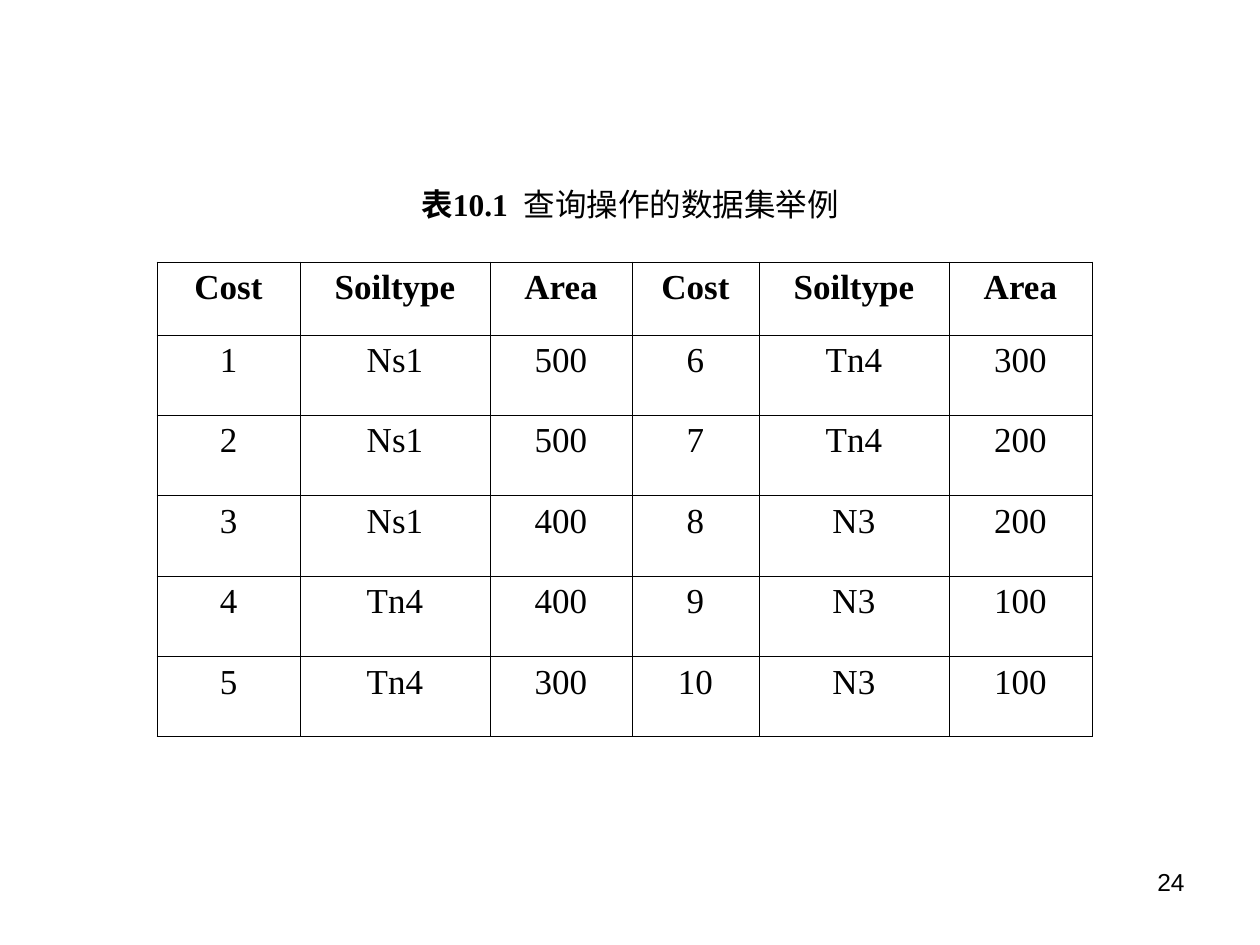
from dataclasses import dataclass

from lxml.etree import fromstring
from pptx import Presentation
from pptx.dml.color import RGBColor
from pptx.enum.text import MSO_ANCHOR, MSO_AUTO_SIZE, PP_ALIGN
from pptx.oxml.ns import nsdecls
from pptx.util import Emu, Pt


@dataclass(frozen=True)
class Theme:
    ink: RGBColor = RGBColor(0, 0, 0)
    serif: str = "Times New Roman"
    sans: str = "Arial"
    caption_size: int = 18
    cell_size: int = 20
    number_size: int = 14
    border: float = 0.45


THEME = Theme()
EMU_PER_PX = 914400 / 126

COLUMN_WIDTHS = (143, 190, 142, 127, 190, 143)
HEADER_HEIGHT = 73
HEADINGS = ("Cost", "Soiltype", "Area")
RECORDS = (
    (1, "Ns1", 500), (2, "Ns1", 500), (3, "Ns1", 400), (4, "Tn4", 400), (5, "Tn4", 300),
    (6, "Tn4", 300), (7, "Tn4", 200), (8, "N3", 200), (9, "N3", 100), (10, "N3", 100),
)


def px(length):
    return Emu(round(length * EMU_PER_PX))


def style(paragraph, family, size, align, bold=None):
    paragraph.alignment = align
    font = paragraph.font
    font.name, font.size, font.bold = family, Pt(size), bold
    font.color.rgb = THEME.ink


def add_caption(slide, box):
    caption = slide.shapes.title
    caption.left, caption.top, caption.width, caption.height = map(px, box)
    frame = caption.text_frame
    frame.word_wrap = True
    frame.auto_size = MSO_AUTO_SIZE.NONE
    frame.vertical_anchor = MSO_ANCHOR.TOP
    paragraph = frame.paragraphs[0]
    style(paragraph, THEME.serif, THEME.caption_size, PP_ALIGN.CENTER)
    for text, bold, tracking in (("表10.1", True, 0), (" ", True, 450), ("查询操作的数据集举例", False, 0)):
        run = paragraph.add_run()
        run.text = text
        run.font.bold = bold
        if tracking:
            run._r.get_or_add_rPr().set("spc", str(tracking))


def outline(cell):
    properties = cell._tc.get_or_add_tcPr()
    for position, side in enumerate(("lnL", "lnR", "lnT", "lnB")):
        properties.insert(position, fromstring(
            f'<a:{side} {nsdecls("a")} w="{Pt(THEME.border)}"><a:solidFill>'
            f'<a:srgbClr val="{THEME.ink}"/></a:solidFill></a:{side}>'))


def add_dataset(slide, box):
    half = len(RECORDS) // 2
    rows = [HEADINGS * 2] + [left + right for left, right in zip(RECORDS[:half], RECORDS[half:])]
    dataset = slide.shapes.add_table(len(rows), len(COLUMN_WIDTHS), *map(px, box)).table
    dataset.first_row = dataset.horz_banding = False
    for column, width in zip(dataset.columns, COLUMN_WIDTHS):
        column.width = px(width)
    record_height = (box[3] - HEADER_HEIGHT) / half
    for index, (row, values) in enumerate(zip(dataset.rows, rows)):
        row.height = px(record_height if index else HEADER_HEIGHT)
        for cell, value in zip(row.cells, values):
            cell.text = str(value)
            style(cell.text_frame.paragraphs[0], THEME.serif, THEME.cell_size, PP_ALIGN.CENTER, index == 0)
            cell.fill.background()
            outline(cell)


def add_page_number(slide, box):
    frame = slide.shapes.add_textbox(*map(px, box)).text_frame
    frame.word_wrap = True
    frame.text = "24"
    style(frame.paragraphs[0], THEME.sans, THEME.number_size, PP_ALIGN.RIGHT)


def main():
    deck = Presentation()
    deck.slide_width, deck.slide_height = px(1260), px(945)
    slide = deck.slides.add_slide(deck.slide_layouts[5])
    add_page_number(slide, (903, 861, 294, 65))
    add_caption(slide, (231, 179, 798, 50))
    add_dataset(slide, (157, 262, sum(COLUMN_WIDTHS), 475))
    deck.save("out.pptx")


if __name__ == "__main__":
    main()
